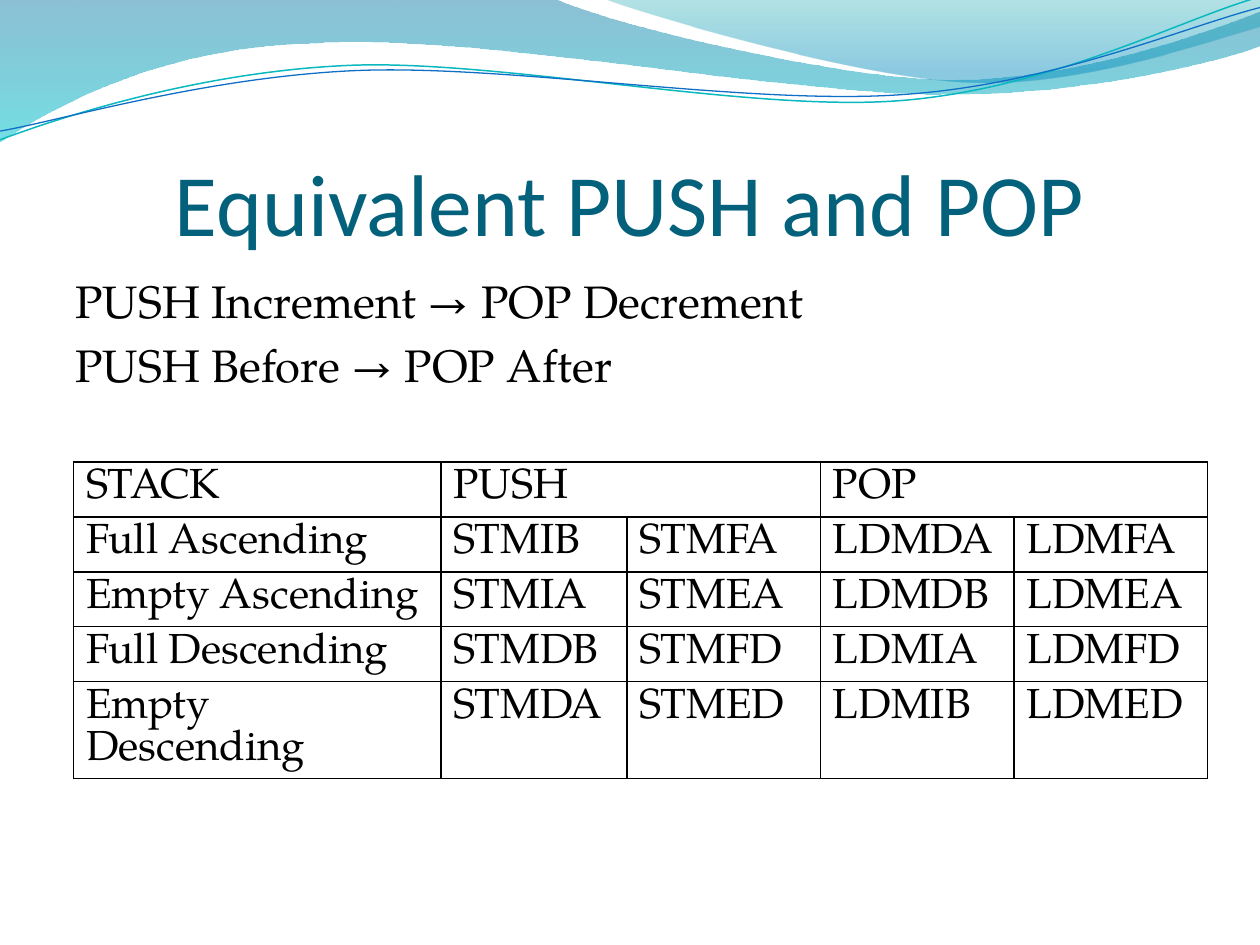
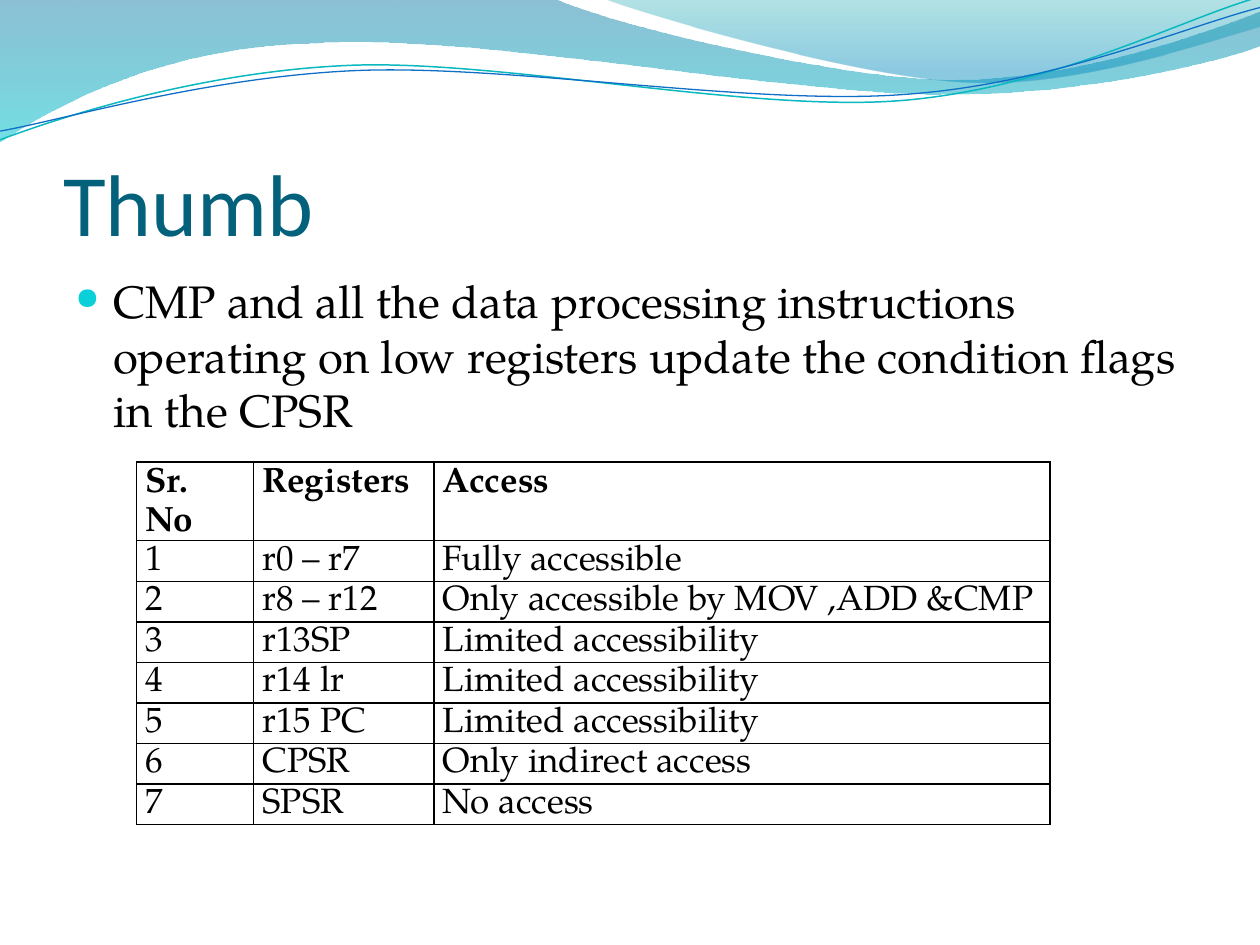
from lxml import etree
from pptx import Presentation
from pptx.dml.color import RGBColor
from pptx.enum.text import MSO_ANCHOR, PP_ALIGN
from pptx.oxml.ns import qn
from pptx.util import Pt

LEFT, MID, JUST = PP_ALIGN.LEFT, PP_ALIGN.CENTER, PP_ALIGN.JUSTIFY
BOTTOM = MSO_ANCHOR.BOTTOM
HEAD, SERIF = "Calibri", "TeX Gyre Pagella"
COLORS = {
    "title": "04617B", "ink": "000000", "dot": "0BD0D9",
    "sea": "0074A1", "aqua": "00C6CF", "teal": "00A1A9", "sky": "008BBF",
    "cyan": "0AB8BF", "blue": "0F6FC6",
}

BANDS = [
    {"path": [(0, 0), (317, -0.7),
              [(342.7, 12.2), (478.1, 45.4), (545.8, 45.4)],
              [(614.2, 45.4), (689.8, 18.7), (720, 6.5)],
              (720.7, 25.9),
              [(707.8, 31.7), (626.4, 54.7), (537.1, 54)],
              [(447.8, 54), (275, 20.2), (185, 24.5)],
              [(92.9, 25.9), (33.1, 59.8), (-0.7, 81.4)]],
     "stops": [(0, "sea", 45), (1, "aqua", 55)]},
    {"path": [(344.9, -0.7),
              [(366.5, 7.9), (491, 44.6), (553.7, 46.8)],
              [(616.3, 49.7), (691.9, 23), (720, 15.1)],
              (720, 0)],
     "stops": [(0, "teal", 30), (0.8, "sky", 45)]},
    {"path": [(0, 79.9),
              [(34.6, 67), (113.8, 41), (199.4, 37.4)],
              [(284.4, 33.8), (427, 64.1), (513.4, 57.6)],
              [(599.8, 51.1), (675.4, 10.8), (718.6, -1.4)]],
     "line": ("cyan", 0.85)},
    {"path": [(0, 74.9),
              [(33.8, 69.1), (118.1, 43.9), (203.8, 40.3)],
              [(290.2, 36.7), (429.8, 60.5), (516.2, 54)],
              [(601.9, 48.2), (677.5, 15.1), (720, 4.3)]],
     "line": ("blue", 0.75)},
]

SLIDES = [
    {"title": "Equivalent PUSH and POP", "align": MID, "dots": False,
     "body": ["PUSH Increment → POP Decrement", "PUSH Before → POP After"],
     "table": {
         "left": 42, "cols": [210, 106.2, 110.6, 110.6, 110.6],
         "rows": [31.4] * 4 + [55.4], "size": 24, "pitch": 24.1,
         "pad": (7.2, 3.6), "align": LEFT, "bold": False,
         "merge": [(1, 2), (3, 4)],
         "cells": [
             ["STACK", "PUSH", "", "POP", ""],
             ["Full Ascending", "STMIB", "STMFA", "LDMDA", "LDMFA"],
             ["Empty Ascending", "STMIA", "STMEA", "LDMDB", "LDMEA"],
             ["Full Descending", "STMDB", "STMFD", "LDMIA", "LDMFD"],
             ["Empty Descending", "STMDA", "STMED", "LDMIB", "LDMED"],
         ]}},
    {"title": "Thumb", "align": LEFT, "dots": True,
     "body": ["CMP and all the data processing instructions operating on "
              "low registers update the condition flags in the CPSR"],
     "table": {
         "left": 78, "cols": [67, 103, 352],
         "rows": [45] + [23.2] * 7, "size": 20, "pitch": 22.4,
         "pad": (5, 0), "align": JUST, "bold": True, "merge": [],
         "cells": [
             ["Sr. No", "Registers", "Access"],
             ["1", "r0 – r7", "Fully accessible"],
             ["2", "r8 – r12", "Only accessible by MOV ,ADD &CMP"],
             ["3", "r13SP", "Limited accessibility"],
             ["4", "r14 lr", "Limited accessibility"],
             ["5", "r15 PC", "Limited accessibility"],
             ["6", "CPSR", "Only indirect access"],
             ["7", "SPSR", "No access"],
         ]}},
]


def rgb(name):
    return RGBColor.from_string(COLORS[name])


def add(node, tag, **attrs):
    return etree.SubElement(node, qn(tag), attrs)


def style(para, size, face, color, bold=False):
    for run in para.runs:
        run.font.size, run.font.name, run.font.bold = Pt(size), face, bold
        run.font.color.rgb = rgb(color)


def bend(shape, parts):
    lines = iter(list(shape._element.iter(qn("a:lnTo"))))
    for part in parts:
        first = next(lines)
        if isinstance(part, list):
            curve = etree.Element(qn("a:cubicBezTo"))
            first.addprevious(curve)
            for line in (first, next(lines), next(lines)):
                curve.append(line[0])
                line.getparent().remove(line)


def draw(slide, path, closed):
    grid = 100
    points = []
    for part in path:
        points += part if isinstance(part, list) else [part]
    points = [(x * grid, y * grid) for x, y in points]
    pen = slide.shapes.build_freeform(*points[0], scale=Pt(1) / grid)
    pen.add_line_segments(points[1:], close=closed)
    shape = pen.convert_to_shape()
    bend(shape, path[1:])
    shape.shadow.inherit = False
    return shape


def add_band(slide, band):
    shape = draw(slide, band["path"], "stops" in band)
    if "line" in band:
        color, width = band["line"]
        shape.fill.background()
        shape.line.color.rgb, shape.line.width = rgb(color), Pt(width)
        return
    shape.fill.gradient()
    shape.fill.gradient_angle = 270
    for stop, (place, color, _) in zip(shape.fill.gradient_stops, band["stops"]):
        stop.position, stop.color.rgb = place, rgb(color)
    for node, (_, _, alpha) in zip(shape._element.iter(qn("a:srgbClr")), band["stops"]):
        add(node, "a:alpha", val=str(alpha * 1000))
    shape.line.fill.background()


def set_title(slide, text, align):
    title = slide.shapes.title
    title.left, title.top, title.width, title.height = Pt(36), Pt(55.4), Pt(648), Pt(90)
    frame = title.text_frame
    frame.text = text
    frame.vertical_anchor = BOTTOM
    frame.margin_left = frame.margin_right = frame.margin_bottom = 0
    frame.margin_top = Pt(3.6)
    frame.paragraphs[0].alignment = align
    style(frame.paragraphs[0], 50, HEAD, "title")


def add_body(slide, lines, dots):
    frame = slide.shapes.add_textbox(Pt(36), Pt(152.6), Pt(648), Pt(345.6)).text_frame
    frame.word_wrap = True
    frame.text = "\n".join(lines)
    for para in frame.paragraphs:
        para.space_before = Pt(5.2)
        style(para, 26, SERIF, "ink")
        props = para._p.get_or_add_pPr()
        props.set("marL", str(Pt(21.6)))
        props.set("indent", str(Pt(-21.6)))
        if dots:
            add(add(props, "a:buClr"), "a:srgbClr", val=COLORS["dot"])
            add(props, "a:buSzPct", val="67000")
            add(props, "a:buChar", char="●")
        else:
            add(props, "a:buNone")


def set_edges(cell):
    props = cell._tc.get_or_add_tcPr()
    for spot, side in enumerate(("a:lnL", "a:lnR", "a:lnT", "a:lnB")):
        edge = etree.Element(qn(side), w=str(Pt(1)))
        add(add(edge, "a:solidFill"), "a:srgbClr", val=COLORS["ink"])
        props.insert(spot, edge)


def add_grid(slide, data):
    cells, cols, rows = data["cells"], data["cols"], data["rows"]
    frame = slide.shapes.add_table(len(rows), len(cols), Pt(data["left"]), Pt(264),
                                   Pt(sum(cols)), Pt(sum(rows)))
    table = frame.table
    table.first_row = table.horz_banding = False
    for col, width in zip(table.columns, cols):
        col.width = Pt(width)
    for row, height in zip(table.rows, rows):
        row.height = Pt(height)
    for r, line in enumerate(cells):
        for c, text in enumerate(line):
            cell = table.cell(r, c)
            cell.fill.background()
            cell.margin_left = cell.margin_right = Pt(data["pad"][0])
            cell.margin_top = cell.margin_bottom = Pt(data["pad"][1])
            set_edges(cell)
            cell.text_frame.text = text
            para = cell.text_frame.paragraphs[0]
            para.alignment = data["align"]
            para.line_spacing = Pt(data["pitch"])
            style(para, data["size"], SERIF, "ink", data["bold"] and r == 0)
    for first, last in data["merge"]:
        table.cell(0, first).merge(table.cell(0, last))


def main():
    deck = Presentation()
    deck.slide_width, deck.slide_height = Pt(720), Pt(540)
    for page in SLIDES:
        slide = deck.slides.add_slide(deck.slide_layouts[5])
        for band in BANDS:
            add_band(slide, band)
        set_title(slide, page["title"], page["align"])
        add_body(slide, page["body"], page["dots"])
        add_grid(slide, page["table"])
    deck.save("out.pptx")


if __name__ == "__main__":
    main()
